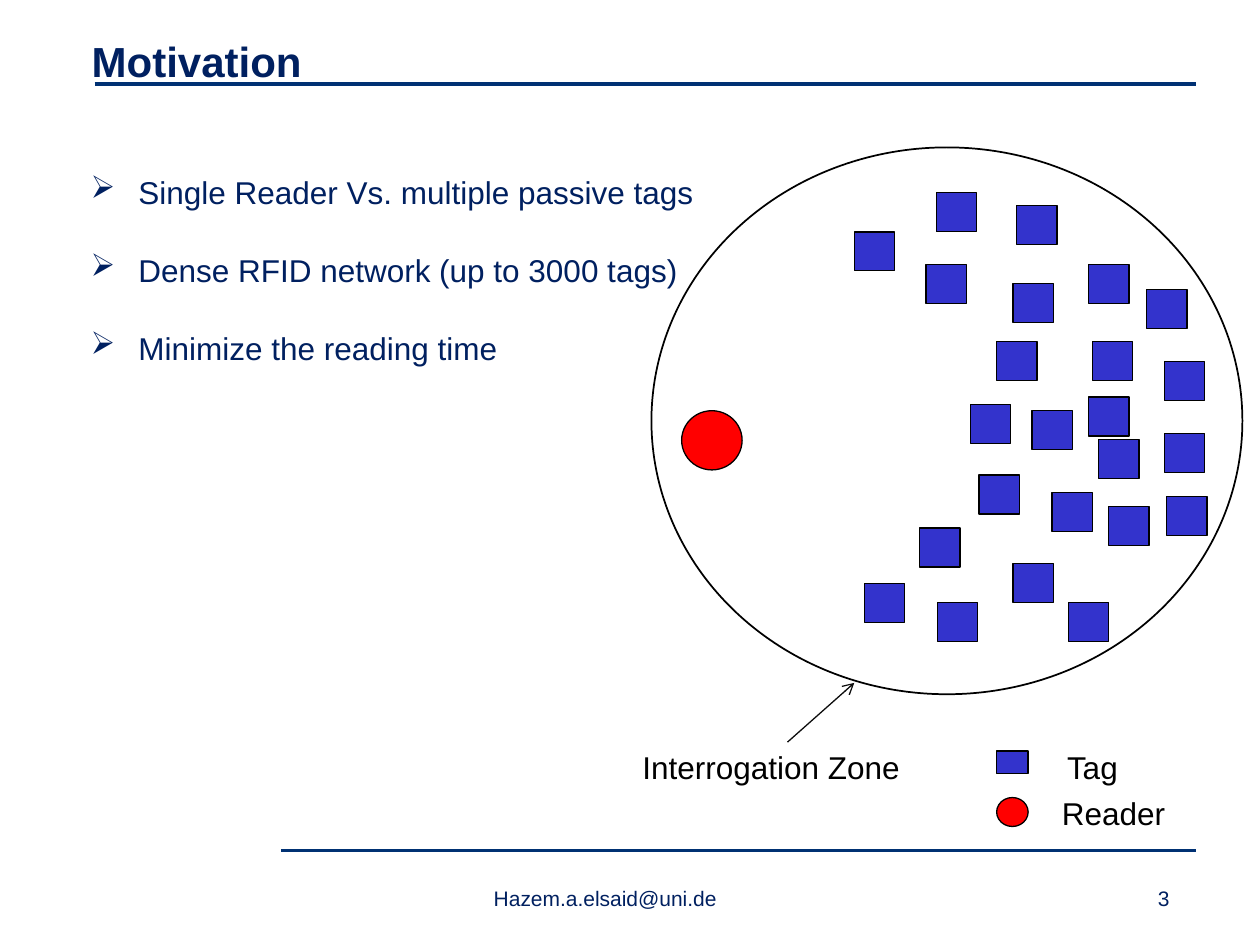
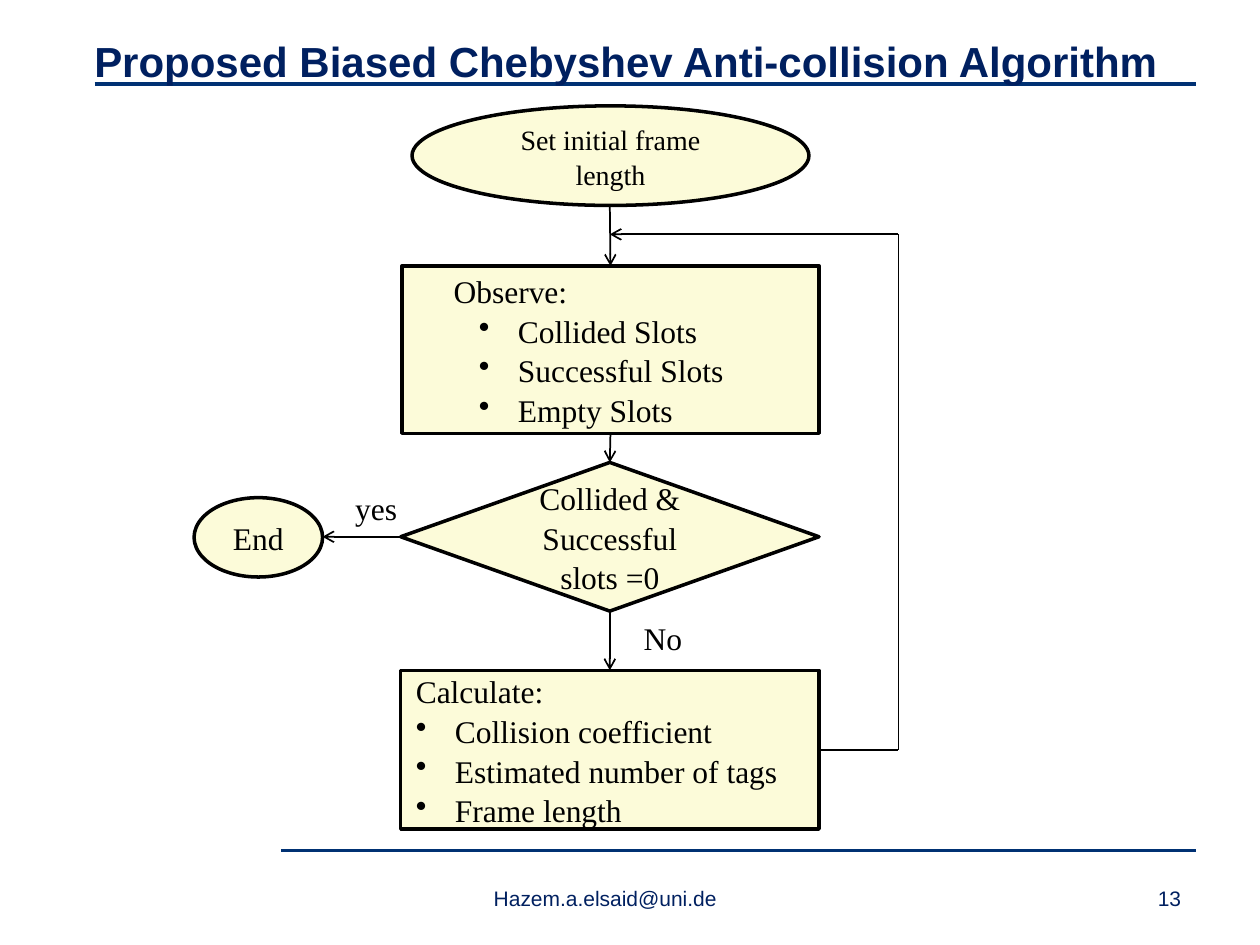
from dataclasses import dataclass

from lxml.etree import SubElement
from pptx import Presentation
from pptx.dml.color import RGBColor
from pptx.enum.shapes import MSO_CONNECTOR, MSO_SHAPE
from pptx.enum.text import MSO_ANCHOR, PP_ALIGN
from pptx.oxml.ns import qn
from pptx.util import Inches, Pt


@dataclass(frozen=True)
class Theme:
    """Colours, fonts and type sizes shared by the slides."""
    navy: str = "002060"
    rule: str = "003173"
    black: str = "000000"
    arrow: str = "0D0D0D"
    tag: str = "3333CC"
    reader: str = "FF0000"
    cream: str = "FCFBD9"
    sans: str = "Arial"
    serif: str = "Times New Roman"
    title: int = 24
    body: int = 18
    node: int = 16
    footer: int = 12


@dataclass(frozen=True)
class Para:
    """One paragraph with its left margin and hanging indent in columns."""
    text: str
    bullet: str = ""
    left: float = 0
    hang: float = 0


class Deck:
    """Draws on a grid of 100 columns by 75 rows."""

    def __init__(self, theme):
        """Open a presentation of 10 by 7.5 inches."""
        self.t = theme
        self.prs = Presentation()
        self.prs.slide_width, self.prs.slide_height = Inches(10), Inches(7.5)
        self.s = None

    def col(self, n):
        """Return the length of n columns."""
        return int(self.prs.slide_width * n / 100)

    def row(self, n):
        """Return the length of n rows."""
        return int(self.prs.slide_height * n / 75)

    def box(self, x, y, w, h):
        """Return a grid box as lengths."""
        return self.col(x), self.row(y), self.col(w), self.row(h)

    def slide(self, title, number, title_x):
        """Start a slide with its title, rules and footer."""
        self.s = self.prs.slides.add_slide(self.prs.slide_layouts[6])
        for x, y in ((7.5, 6.7), (22.3, 67.5)):
            self.line((x, y), (94.9, y), self.t.rule, 2.25)
        self.text(title, title_x, 2.2, 90, 5.2, size=self.t.title,
                  color=self.t.navy, bold=True, anchor=MSO_ANCHOR.MIDDLE)
        for text, x, w in (("Hazem.a.elsaid@uni.de", 38.2, 37.8), (str(number), 90.9, 7.1)):
            self.text(text, x, 69.8, w, 3, size=self.t.footer, color=self.t.navy)

    def fill_text(self, tf, paras, size, color, font, bold=False,
                  align=PP_ALIGN.LEFT, spacing=None, after=0):
        """Fill a text frame with styled paragraphs."""
        tf.word_wrap = True
        for i, para in enumerate(paras):
            p = tf.add_paragraph() if i else tf.paragraphs[0]
            p.text = para.text
            p.alignment, p.line_spacing, p.space_after = align, spacing, Pt(after)
            pPr = p._p.get_or_add_pPr()
            pPr.set("marL", str(self.col(para.left)))
            pPr.set("indent", str(-self.col(para.hang)))
            if para.bullet:
                SubElement(pPr, qn("a:buChar")).set("char", para.bullet)
            for r in p.runs:
                r.font.size, r.font.name, r.font.bold = Pt(size), font, bold
                r.font.color.rgb = RGBColor.from_string(color)

    def text(self, content, x, y, w, h, size=None, color=None, font=None,
             bold=False, anchor=MSO_ANCHOR.TOP, after=0, spacing=None):
        """Add a text box holding a string or a list of paragraphs."""
        tf = self.s.shapes.add_textbox(*self.box(x, y, w, h)).text_frame
        tf.vertical_anchor = anchor
        paras = [Para(content)] if isinstance(content, str) else content
        self.fill_text(tf, paras, size or self.t.body, color or self.t.black,
                       font or self.t.sans, bold, after=after, spacing=spacing)

    def shape(self, kind, x, y, w, h, fill=None, weight=0.75):
        """Add an outlined preset shape."""
        sp = self.s.shapes.add_shape(kind, *self.box(x, y, w, h))
        sp.shadow.inherit = False
        if fill:
            sp.fill.solid()
            sp.fill.fore_color.rgb = RGBColor.from_string(fill)
        else:
            sp.fill.background()
        sp.line.color.rgb = RGBColor.from_string(self.t.black)
        sp.line.width = Pt(weight)
        return sp

    def node(self, kind, x, y, w, h, content, size=None):
        """Add a flowchart step; a string is centred, a list is left-aligned."""
        sp = self.shape(kind, x, y, w, h, self.t.cream, 2)
        tf = sp.text_frame
        tf.vertical_anchor = MSO_ANCHOR.MIDDLE
        tf.margin_left = tf.margin_right = self.col(1.2)
        centred = isinstance(content, str)
        self.fill_text(tf, [Para(content)] if centred else content, size or self.t.body,
                       self.t.black, self.t.serif, spacing=1.05,
                       align=PP_ALIGN.CENTER if centred else PP_ALIGN.LEFT)
        return sp

    def line(self, start, end, color=None, weight=1.0, arrow=False, begin=None, finish=None):
        """Add a straight line, optionally joined to (shape, site) pairs."""
        c = self.s.shapes.add_connector(MSO_CONNECTOR.STRAIGHT, self.col(start[0]),
                                        self.row(start[1]), self.col(end[0]), self.row(end[1]))
        if begin:
            c.begin_connect(*begin)
        if finish:
            c.end_connect(*finish)
        c.line.color.rgb = RGBColor.from_string(color or self.t.black)
        c.line.width = Pt(weight)
        if arrow:
            SubElement(c.line._get_or_add_ln(), qn("a:tailEnd")).set("type", "arrow")
        SubElement(c._element.spPr, qn("a:effectLst"))


TAGS = [(80.7, 16.3), (86.4, 21), (73.5, 21), (80.4, 22.5), (79.1, 27.1), (77, 32.1),
        (67.8, 18.4), (74.3, 15.3), (86.4, 31.5), (81.9, 32.6), (91, 23), (92.4, 28.7),
        (86.7, 27.1), (92.4, 34.4), (83.5, 39.1), (77.7, 37.7), (87.2, 34.9), (80.4, 44.7),
        (73, 41.9), (88, 40.2), (84.8, 47.8), (68.6, 46.3), (92.6, 39.4), (74.4, 47.8)]


def motivation(d):
    """Show one reader and many tags inside its zone."""
    t = d.t
    d.slide("Motivation", 3, 6.3)
    goals = ("Single Reader Vs. multiple passive tags",
             "Dense RFID network (up to 3000 tags)",
             "Minimize the reading time")
    d.text([Para(goal, "➢", 3.8, 3.8) for goal in goals], 6.2, 13.2, 89.8, 55.1,
           color=t.navy, after=23)
    d.shape(MSO_SHAPE.OVAL, 51.7, 11.7, 46.9, 43.4, weight=1)
    d.shape(MSO_SHAPE.OVAL, 54.1, 32.6, 4.8, 4.7, t.reader)
    for x, y in TAGS:
        d.shape(MSO_SHAPE.RECTANGLE, x, y, 3.2, 3.1, t.tag)
    d.shape(MSO_SHAPE.RECTANGLE, 79.1, 59.6, 2.5, 1.8, t.tag)
    d.shape(MSO_SHAPE.OVAL, 79.1, 63.3, 2.5, 2.3, t.reader)
    d.text("Tag", 83.7, 58.9, 12.1, 4)
    d.text("Reader", 83.3, 62.5, 10.8, 4)
    d.text("Interrogation Zone", 50, 58.9, 26.1, 4)
    d.line((62.5, 58.9), (67.8, 54.2), t.arrow, 0.75, arrow=True)


def algorithm(d):
    """Draw the flowchart of the algorithm with its feedback loop."""
    t = d.t
    d.slide("Proposed Biased Chebyshev Anti-collision Algorithm", 13, 6.5)
    d.node(MSO_SHAPE.OVAL, 32.7, 8.4, 31.5, 7.9, "Set initial frame length", t.node)
    observe = d.node(MSO_SHAPE.RECTANGLE, 31.9, 21.1, 33.1, 13.3, [
        Para("Observe:", left=2.9),
        *(Para(f"{kind} Slots", "•", 8, 3.1) for kind in ("Collided", "Successful", "Empty"))])
    check = d.node(MSO_SHAPE.DIAMOND, 31.8, 36.7, 33.2, 11.8, "Collided & Successful slots =0")
    calculate = d.node(MSO_SHAPE.RECTANGLE, 31.8, 53.2, 33.2, 12.6, [
        Para("Calculate:"),
        *(Para(item, "•", 3.1, 3.1) for item in
          ("Collision coefficient", "Estimated number of tags", "Frame length"))])
    d.node(MSO_SHAPE.OVAL, 15.4, 39.5, 10.2, 6.3, "End")
    mid, loop_x, loop_y = 48.4, 71.3, 18.6
    d.line((mid, 16.3), (mid, 21.1), arrow=True, finish=(observe, 0))
    d.line((mid, 34.4), (mid, 36.7), arrow=True, begin=(observe, 2), finish=(check, 0))
    d.line((mid, 48.5), (mid, 53.2), arrow=True, begin=(check, 2), finish=(calculate, 0))
    d.line((31.8, 42.6), (25.6, 42.6), arrow=True, begin=(check, 1))
    d.line((65, 59.5), (loop_x, 59.5), begin=(calculate, 3))
    d.line((loop_x, 59.5), (loop_x, loop_y))
    d.line((loop_x, loop_y), (mid, loop_y), arrow=True)
    for label, x, y in (("yes", 27.2, 38.2), ("No", 50.1, 48.5)):
        d.text(label, x, y, 6, 4, font=t.serif, spacing=1.05)


def main():
    """Build both slides and save them."""
    d = Deck(Theme())
    motivation(d)
    algorithm(d)
    d.prs.save("out.pptx")


if __name__ == "__main__":
    main()
